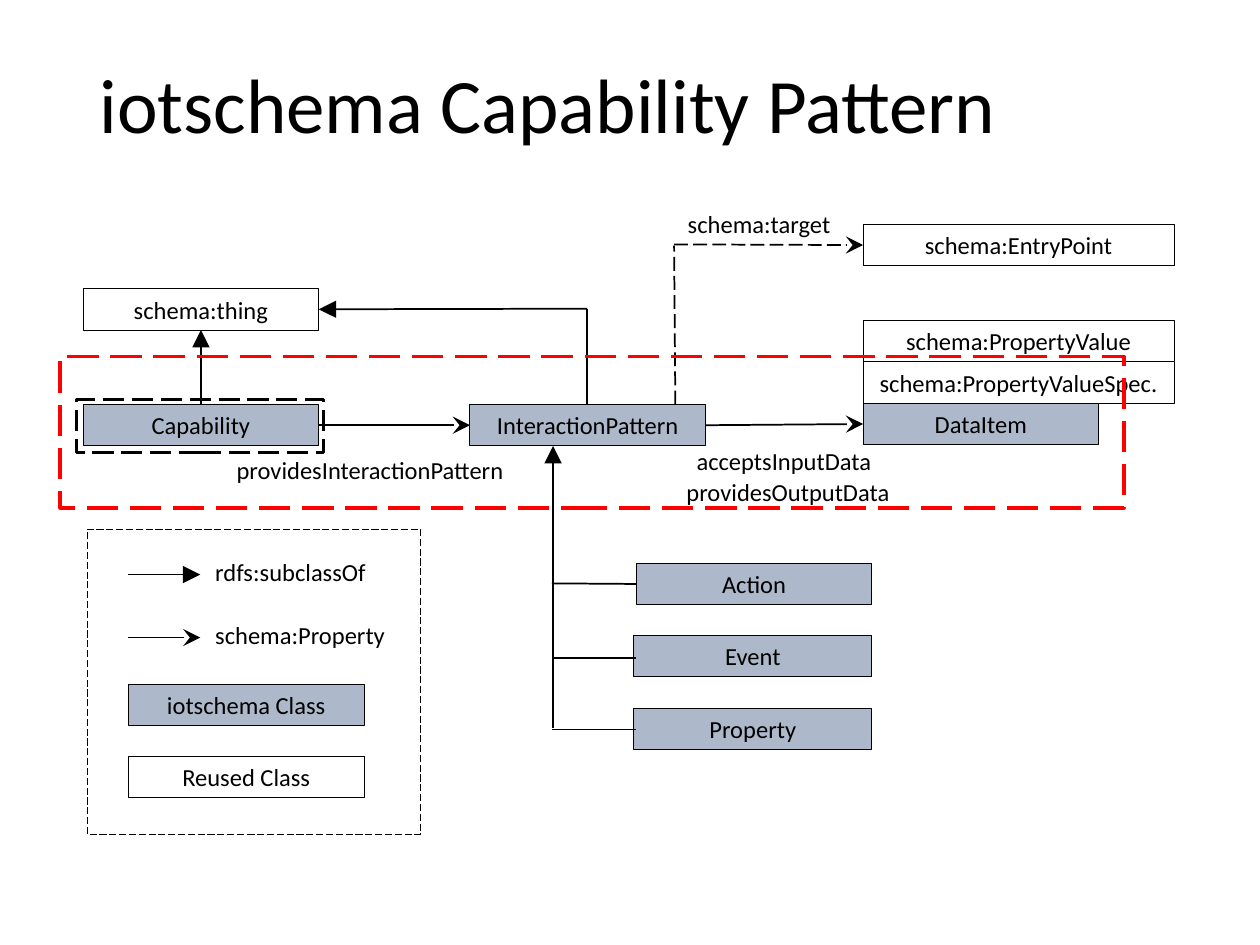
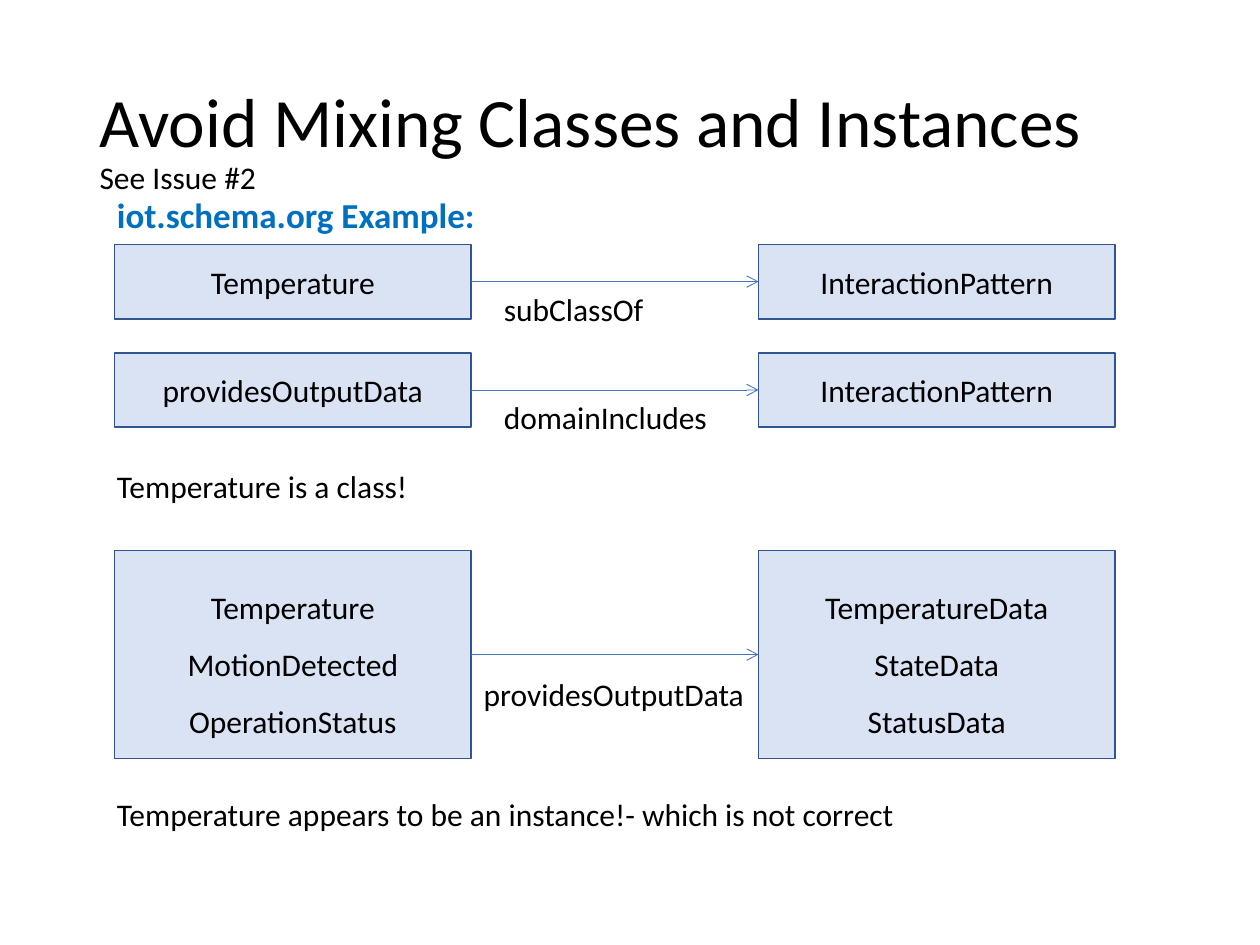
from lxml.etree import SubElement
from pptx import Presentation
from pptx.dml.color import RGBColor
from pptx.enum.dml import MSO_LINE
from pptx.enum.shapes import MSO_CONNECTOR, MSO_SHAPE
from pptx.enum.text import MSO_ANCHOR, MSO_AUTO_SIZE, PP_ALIGN
from pptx.oxml.ns import qn
from pptx.util import Emu, Pt

EMU_PER_PX = 9144  # 100 px to the inch

BLACK = RGBColor(0x00, 0x00, 0x00)
WHITE = RGBColor(0xFF, 0xFF, 0xFF)
RED = RGBColor(0xFF, 0x00, 0x00)
CLASS_FILL = RGBColor(0xAD, 0xB9, 0xCA)
EXAMPLE_FILL = RGBColor(0xDA, 0xE3, 0xF3)
EXAMPLE_LINE = RGBColor(0x32, 0x54, 0x91)
ARROW_BLUE = RGBColor(0x44, 0x72, 0xC4)
HEADING_BLUE = RGBColor(0x00, 0x70, 0xC0)

FONT = "Calibri"
TOP, LEFT, BOTTOM, RIGHT = 0, 1, 2, 3
BOX_H = 33
CLASS_W = 187
SCHEMA_W = 247


def px(*values):
    return [Emu(value * EMU_PER_PX) for value in values]


def set_all(target, values):
    for name, value in values.items():
        setattr(target, name, value)


def add_run(p, text, size, color=BLACK, bold=False):
    r = p.add_run()
    r.text = text
    set_all(r.font, {"name": FONT, "size": Pt(size), "bold": bold})
    r.font.color.rgb = color


def set_line(line, color, width, dash=None):
    line.color.rgb = color
    set_all(line, {"width": Pt(width), "dash_style": dash})


def add_title(s, top, text, size, subtitle=None, subtitle_size=18):
    title = s.shapes.title
    names = ("left", "top", "width", "height")
    set_all(title, dict(zip(names, px(69, top, 862, 145))))
    tf = title.text_frame
    set_all(tf, {"auto_size": MSO_AUTO_SIZE.NONE, "vertical_anchor": MSO_ANCHOR.MIDDLE})
    p = tf.paragraphs[0]
    set_all(p, {"alignment": PP_ALIGN.LEFT, "line_spacing": 0.9})
    add_run(p, text, size)
    if subtitle:
        p.add_line_break()
        # The break takes the size of the line that it ends
        SubElement(p._p[-1], qn("a:rPr"), sz=str(int(size * 100)))
        add_run(p, subtitle, subtitle_size)


def add_rect(s, at, fill, line_color, line_width, dash=None):
    sp = s.shapes.add_shape(MSO_SHAPE.RECTANGLE, *px(*at))
    sp.shadow.inherit = False
    if fill is None:
        sp.fill.background()
    else:
        sp.fill.solid()
        sp.fill.fore_color.rgb = fill
    set_line(sp.line, line_color, line_width, dash)
    return sp


def fill_text(sp, lines, size, spacing=None):
    tf = sp.text_frame
    set_all(tf, {"word_wrap": True, "vertical_anchor": MSO_ANCHOR.MIDDLE})
    for i, text in enumerate(lines):
        p = tf.add_paragraph() if i else tf.paragraphs[0]
        set_all(p, {"alignment": PP_ALIGN.CENTER, "line_spacing": spacing})
        add_run(p, text, size)


def add_class(s, text, left, top, width=CLASS_W, fill=CLASS_FILL):
    sp = add_rect(s, (left, top, width, BOX_H), fill, BLACK, 0.5)
    fill_text(sp, [text], 14)
    return sp


def add_example_box(s, lines, left, top, height, spacing):
    sp = add_rect(s, (left, top, 283, height), EXAMPLE_FILL, EXAMPLE_LINE, 1)
    fill_text(sp, lines, 18, spacing)
    return sp


def add_label(s, text, at, size, color=BLACK, bold=False, wrap=False):
    tf = s.shapes.add_textbox(*px(*at)).text_frame
    set_all(tf, {"word_wrap": wrap, "auto_size": MSO_AUTO_SIZE.SHAPE_TO_FIT_TEXT})
    add_run(tf.paragraphs[0], text, size, color, bold)


def add_link(s, start, end, head=None, color=BLACK, width=1, dash=None, head_size="lg"):
    """Each end is a point (x, y) or a joint (shape, side)."""
    points = [end_ if isinstance(end_[0], int) else (0, 0) for end_ in (start, end)]
    link = s.shapes.add_connector(MSO_CONNECTOR.STRAIGHT, *px(*points[0], *points[1]))
    for joint, connect in ((start, link.begin_connect), (end, link.end_connect)):
        if not isinstance(joint[0], int):
            connect(*joint)
    set_line(link.line, color, width, dash)
    if head:
        SubElement(link.line._get_or_add_ln(), qn("a:tailEnd"),
                   type=head, w=head_size, len=head_size)
    SubElement(link._element.spPr, qn("a:effectLst"))


def add_legend(s):
    for text, y, width, head in (("rdfs:subclassOf", 456, 141, "triangle"),
                                 ("schema:Property", 506, 156, "stealth")):
        add_link(s, (102, y), (159, y), head)
        add_label(s, text, (161, y - 19, width, 34), 14)
    add_class(s, "iotschema Class", 102, 543)
    add_class(s, "Reused Class", 102, 600, fill=WHITE)
    add_rect(s, (69, 420, 265, 242), None, BLACK, 0.5, MSO_LINE.LONG_DASH)


def build_pattern_slide(s):
    add_title(s, 14, "iotschema Capability Pattern", 44)

    # Classes
    thing = add_class(s, "schema:thing", 66, 229, fill=WHITE)
    capability = add_class(s, "Capability", 66, 321)
    interaction = add_class(s, "InteractionPattern", 373, 321)
    for text, top in (("schema:PropertyValue", 254), ("schema:PropertyValueSpec.", 287)):
        add_class(s, text, 685, top, SCHEMA_W, WHITE)
    data_item = add_class(s, "DataItem", 685, 320)
    entry_point = add_class(s, "schema:EntryPoint", 685, 178, SCHEMA_W, WHITE)

    # Subclasses of InteractionPattern, hung on one trunk
    add_link(s, (439, 578), (439, 354), "triangle")
    for text, left, top, width, branch_y in (("Action", 505, 447, 187, 463),
                                             ("Event", 503, 504, 189, 522),
                                             ("Property", 503, 562, 189, 579)):
        sp = add_class(s, text, left, top, width)
        joint = (sp, LEFT) if left == 505 else (505, branch_y)
        add_link(s, (438, branch_y), joint)

    # Relations
    add_link(s, (capability, TOP), (thing, BOTTOM), "triangle")
    add_link(s, (capability, RIGHT), (interaction, LEFT), "stealth")
    add_link(s, (interaction, RIGHT), (data_item, LEFT), "stealth")
    add_link(s, (535, 194), (entry_point, LEFT), "stealth", dash=MSO_LINE.LONG_DASH)
    add_link(s, (536, 321), (535, 195), dash=MSO_LINE.LONG_DASH)
    add_link(s, (466, 245), (thing, RIGHT), "triangle")
    add_link(s, (466, 321), (466, 245))
    for text, left, top, width in (("acceptsInputData", 543, 349, 160),
                                   ("providesOutputData", 535, 374, 183),
                                   ("providesInteractionPattern", 178, 356, 236),
                                   ("schema:target", 536, 161, 135)):
        add_label(s, text, (left, top, width, 34), 14)

    add_legend(s)

    # Highlight frames
    add_rect(s, (61, 317, 196, 42), None, BLACK, 1.5, MSO_LINE.LONG_DASH)
    add_rect(s, (48, 283, 844, 120), None, RED, 2.25, MSO_LINE.LONG_DASH)


def build_example_slide(s):
    add_title(s, 40, "Avoid Mixing Classes and Instances", 39.6, "See Issue #2")
    add_label(s, "iot.schema.org Example:", (83, 149, 803, 44), 20,
              HEADING_BLUE, bold=True, wrap=True)

    # Subject, relation and object, one statement a row
    statements = (
        (194, 59, None, ["Temperature"], ["InteractionPattern"],
         "subClassOf", (390, 225, 132, 40)),
        (280, 59, None, ["providesOutputData"], ["InteractionPattern"],
         "domainIncludes", (390, 311, 183, 40)),
        (437, 165, 1.5, ["Temperature", "MotionDetected", "OperationStatus"],
         ["TemperatureData", "StateData", "StatusData"],
         "providesOutputData", (374, 531, 229, 40)),
    )
    for top, height, spacing, subjects, objects, relation, label_at in statements:
        subject_box = add_example_box(s, subjects, 91, top, height, spacing)
        object_box = add_example_box(s, objects, 602, top, height, spacing)
        add_link(s, (subject_box, RIGHT), (object_box, LEFT), "arrow",
                 ARROW_BLUE, 0.5, head_size="med")
        add_label(s, relation, label_at, 18)

    # Conclusions
    add_label(s, "Temperature is a class!", (83, 366, 253, 40), 18)
    add_label(s, "Temperature appears to be an instance!- which is not correct",
              (83, 626, 654, 40), 18)


def main():
    prs = Presentation()
    prs.slide_width, prs.slide_height = px(1000, 750)
    title_only = prs.slide_layouts[5]
    for build in (build_pattern_slide, build_example_slide):
        build(prs.slides.add_slide(title_only))
    prs.save("out.pptx")


if __name__ == "__main__":
    main()
